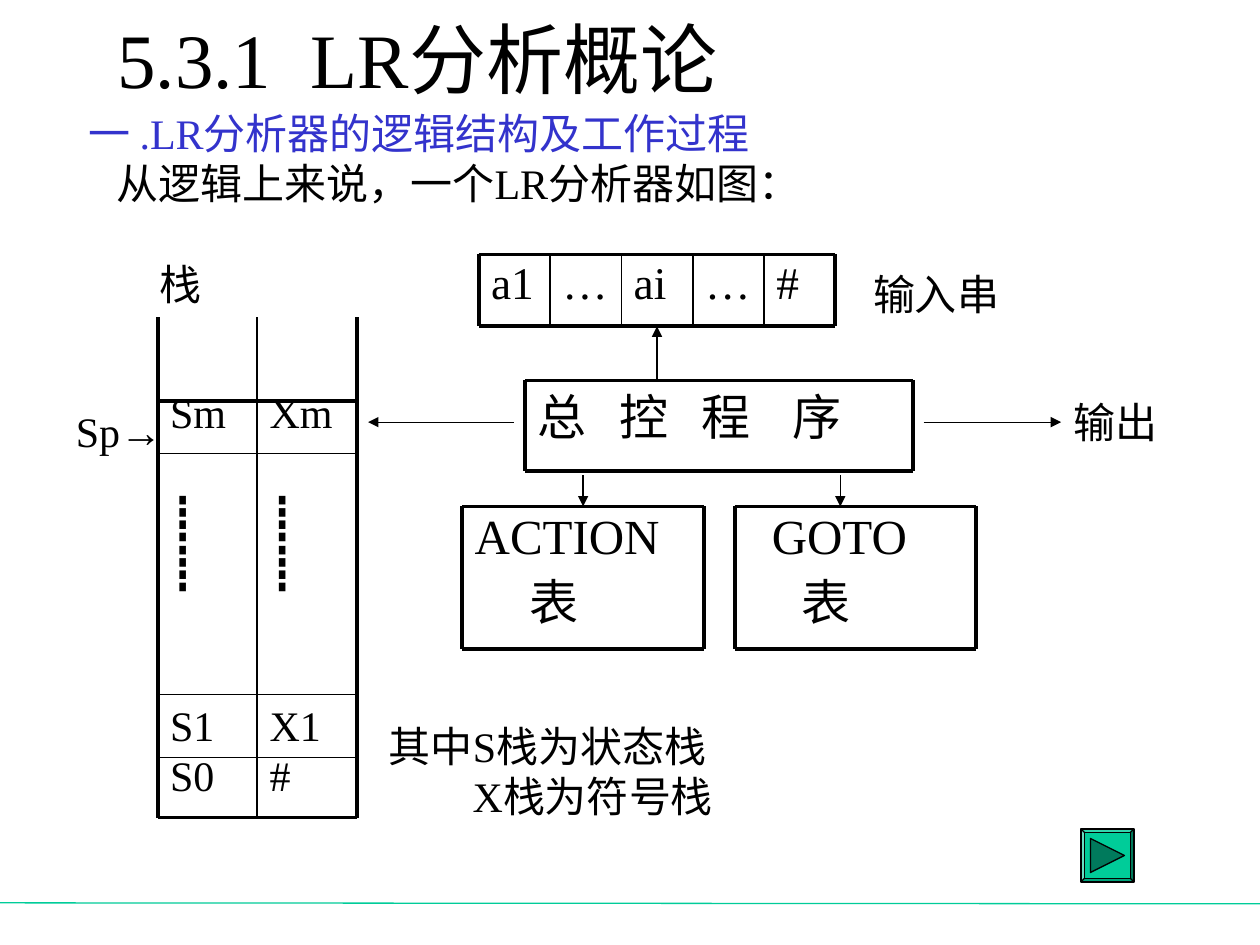
import pptx
import pptx.dml.color
import pptx.enum.shapes
import pptx.enum.text
import pptx.oxml.ns
import pptx.util
import lxml.etree

Cm = pptx.util.Cm
Pt = pptx.util.Pt
RGBColor = pptx.dml.color.RGBColor
Shape = pptx.enum.shapes.MSO_SHAPE

BLACK = RGBColor(0x00, 0x00, 0x00)
BLUE = RGBColor(0x33, 0x33, 0xCC)
GREEN = RGBColor(0x00, 0xCC, 0x99)
DARK_GREEN = RGBColor(0x00, 0x7A, 0x5C)
FONT = "Times New Roman"
THICK, THIN, HAIRLINE = 2.25, 1, 0.75


def add_child(parent, tag, **attributes):
    """Append a DrawingML element to a parent element and return it."""
    child = lxml.etree.SubElement(parent, pptx.oxml.ns.qn(tag))
    for name, value in attributes.items():
        child.set(name, str(value))
    return child


def write(shape, lines, size=24, indents=(0, 0), colors=(BLACK, BLACK),
          spacing=1.0, before=0, tabs=()):
    """Fill a shape with left-aligned paragraphs."""
    shape.text_frame.text = "\n".join(lines)
    for number, paragraph in enumerate(shape.text_frame.paragraphs):
        properties = paragraph._p.get_or_add_pPr()
        if indents[number]:
            properties.set("marL", str(Cm(indents[number])))
            properties.set("indent", "0")
        if tabs:
            tab_list = add_child(properties, "a:tabLst")
            for position in tabs:
                add_child(tab_list, "a:tab", pos=Cm(position), algn="l")
        paragraph.alignment = pptx.enum.text.PP_ALIGN.LEFT
        paragraph.line_spacing = spacing
        paragraph.space_before = Pt(before if number else 0)
        for run in paragraph.runs:
            run.font.name = FONT
            run.font.size = Pt(size)
            run.font.color.rgb = colors[number]


def add_text(slide, box, lines, wrap=True, **style):
    """Add a text box and return it."""
    shape = slide.shapes.add_textbox(*map(Cm, box))
    shape.text_frame.word_wrap = wrap
    write(shape, lines, **style)
    return shape


def add_line(slide, start, end, width, color=BLACK, arrow=False):
    """Add a straight line, with an arrowhead at its end if asked."""
    connector = slide.shapes.add_connector(
        pptx.enum.shapes.MSO_CONNECTOR.STRAIGHT, *map(Cm, start + end))
    connector.line.color.rgb = color
    connector.line.width = Pt(width)
    if arrow:
        add_child(connector.line._get_or_add_ln(), "a:tailEnd", type="triangle")
    add_child(connector._element.spPr, "a:effectLst")
    return connector


def add_border(slide, box):
    """Draw the four thick sides of a box."""
    left, top, width, height = box
    right, bottom = left + width, top + height
    for y in (top, bottom):
        add_line(slide, (left, y), (right, y), THICK)
    for x in (left, right):
        add_line(slide, (x, top), (x, bottom), THICK)


def add_heading(slide, box):
    """Place the title and the two lead lines under it."""
    left, top, width, height = box
    title = slide.shapes.title
    title.left, title.top, title.width, title.height = map(Cm, box)
    write(title, ["5.3.1\tLR分析概论"], size=44, tabs=[3.9])
    title.text_frame.auto_size = pptx.enum.text.MSO_AUTO_SIZE.NONE
    title.text_frame.vertical_anchor = pptx.enum.text.MSO_ANCHOR.MIDDLE
    add_text(slide, (left - 0.58, top + 1.94, 19.61, 2.29),
             ["一 .LR分析器的逻辑结构及工作过程", "从逻辑上来说，一个LR分析器如图："],
             indents=(0, 0.57), colors=(BLUE, BLACK))


def add_input_string(slide, box):
    """Draw the input tape and return its middle cell."""
    left, top, width, height = box
    symbols = ["a1", "…", "ai", "…", "#"]
    step = width / len(symbols)
    cells = [add_text(slide, (left + step * column, top, step, height), [symbol],
                      size=25.9, spacing=0.9)
             for column, symbol in enumerate(symbols)]
    for column in range(1, len(symbols)):
        x = left + step * column
        add_line(slide, (x, top), (x, top + height), THIN)
    add_border(slide, box)
    add_text(slide, (left + width + 0.51, top + 0.15, 3.05, 1.27), ["输入串"], wrap=False)
    return cells[len(cells) // 2]


def add_stack(slide, box):
    """Draw the open-topped stack with its state and symbol columns."""
    left, top, width, height = box
    right, bottom, column_width = left + width, top + height, width / 2
    blocks = [(1.27, ["Sm"], ["Xm"]), (3.38, ["┋", "┋"], ["┋", "┋"]),
              (7.57, ["S1", "S0"], ["X1", "#"])]
    for offset, *columns in blocks:
        for column, lines in enumerate(columns):
            add_text(slide, (left + column_width * column, top + offset, column_width, 2.51),
                     lines)
    for offset, weight in [(1.68, THICK), (2.74, THIN), (7.6, THIN), (8.87, THIN),
                           (height, THICK)]:
        add_line(slide, (left, top + offset), (right, top + offset), weight)
    for x, weight in [(left, THICK), (left + column_width, THIN), (right, THICK)]:
        add_line(slide, (x, top), (x, bottom), weight)
    add_text(slide, (left - 0.22, top - 1.32, 1.37, 1.27), ["栈"], wrap=False)
    add_text(slide, (left - 1.9, top + 1.65, 2.24, 1.27), ["Sp→"], wrap=False)
    add_text(slide, (left + 4.41, top + 8, 7.32, 2.29),
             ["其中S栈为状态栈", "X栈为符号栈"], indents=(0, 1.69), wrap=False)


def add_control(slide, box, input_cell):
    """Draw the control program, its two tables and its arrows."""
    left, top, width, height = box
    right, bottom = left + width, top + height
    add_text(slide, box, ["总\t控\t程\t序"], size=28, tabs=[1.65, 3.3, 5.13])
    add_border(slide, box)
    table_width, table_height, table_top = 4.87, 2.87, bottom + 0.71
    tables = []
    for offset, name, indent in [(-1.27, "ACTION", 0), (4.22, "GOTO", 0.5)]:
        table_box = (left + offset, table_top, table_width, table_height)
        tables.append(add_text(slide, table_box, [name, "表"], size=28,
                               indents=(indent, 1.1), spacing=0.9, before=7))
        add_border(slide, table_box)
    action_x = left - 1.27 + table_width / 2
    middle = top + 0.84
    upward = add_line(slide, (left + 2.63, top), (left + 2.63, top - 1.09), HAIRLINE, arrow=True)
    upward.end_connect(input_cell, 2)
    upward.begin_x = upward.end_x
    to_action = add_line(slide, (action_x, bottom + 0.08), (action_x, table_top),
                         HAIRLINE, arrow=True)
    to_action.end_connect(tables[0], 0)
    to_action.begin_x = to_action.end_x
    for start, end in [((left + 6.35, bottom + 0.08), (left + 6.35, table_top)),
                       ((left - 0.23, middle), (left - 3.17, middle)),
                       ((right + 0.21, middle), (right + 2.98, middle))]:
        add_line(slide, start, end, HAIRLINE, arrow=True)
    add_text(slide, (right + 2.98, top + 0.2, 2.3, 1.27), ["输出"], wrap=False)


def add_next_button(slide, box):
    """Draw a bevelled button with a triangle pointing right."""
    left, top, width, height = box
    size = width * 0.64
    inset = (width - size) / 2
    arrow_box = (left + inset, top + inset, size, size)
    for preset, part, color in [(Shape.BEVEL, box, GREEN),
                                (Shape.ISOSCELES_TRIANGLE, arrow_box, DARK_GREEN)]:
        shape = slide.shapes.add_shape(preset, *map(Cm, part))
        shape.shadow.inherit = False
        shape.fill.solid()
        shape.fill.fore_color.rgb = color
        shape.line.color.rgb = BLACK
        shape.line.width = Pt(HAIRLINE)
        if preset == Shape.BEVEL:
            shape.adjustments[0] = 0.07
        else:
            shape.rotation = 90


def main():
    """Build the slide and save it."""
    presentation = pptx.Presentation()
    presentation.slide_width, presentation.slide_height = Cm(25.4), Cm(19.05)
    slide = presentation.slides.add_slide(presentation.slide_layouts[5])
    add_line(slide, (0, 18.2), (25.4, 18.22), HAIRLINE, color=GREEN)
    add_heading(slide, (2.11, 0.1, 21.59, 2.11))
    input_cell = add_input_string(slide, (9.65, 5.13, 7.19, 1.45))
    add_stack(slide, (3.18, 6.4, 4.01, 10.08))
    add_control(slide, (10.59, 7.67, 7.82, 1.83), input_cell)
    add_next_button(slide, (21.79, 16.71, 1.07, 1.07))
    presentation.save("out.pptx")


if __name__ == "__main__":
    main()
